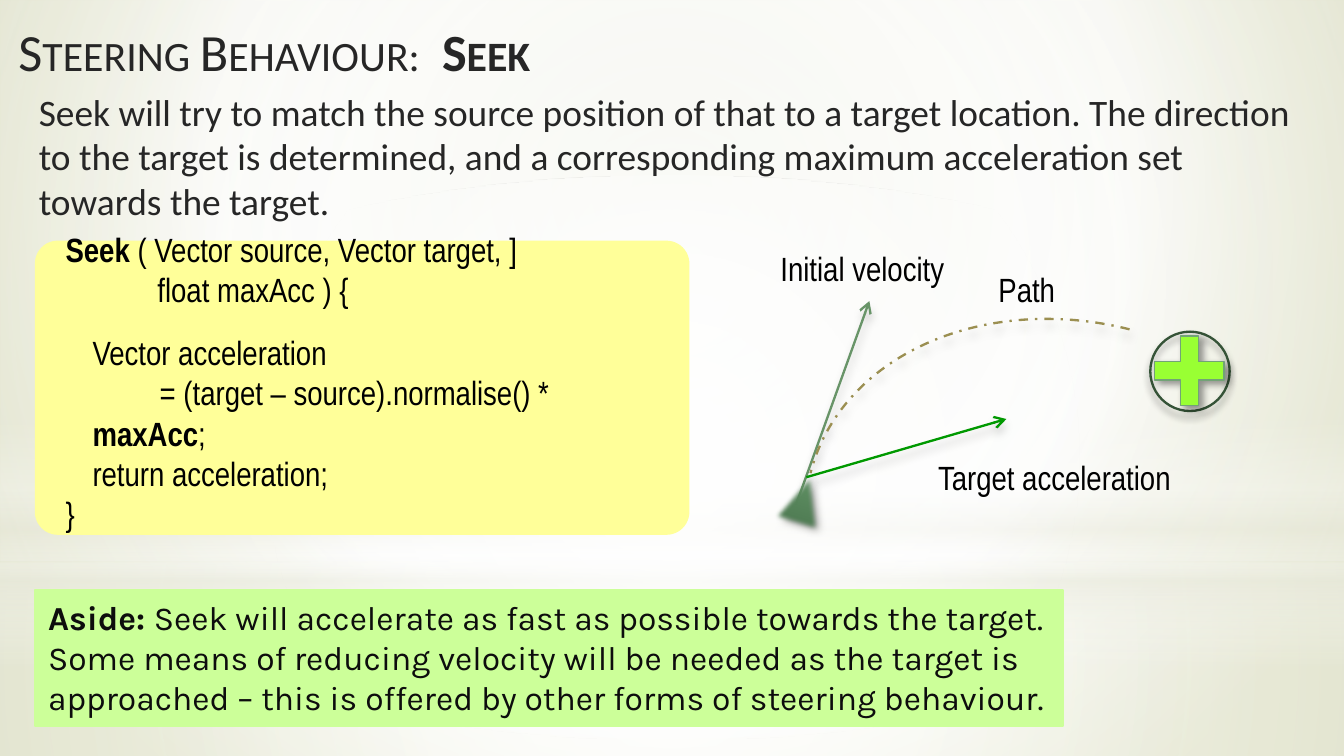
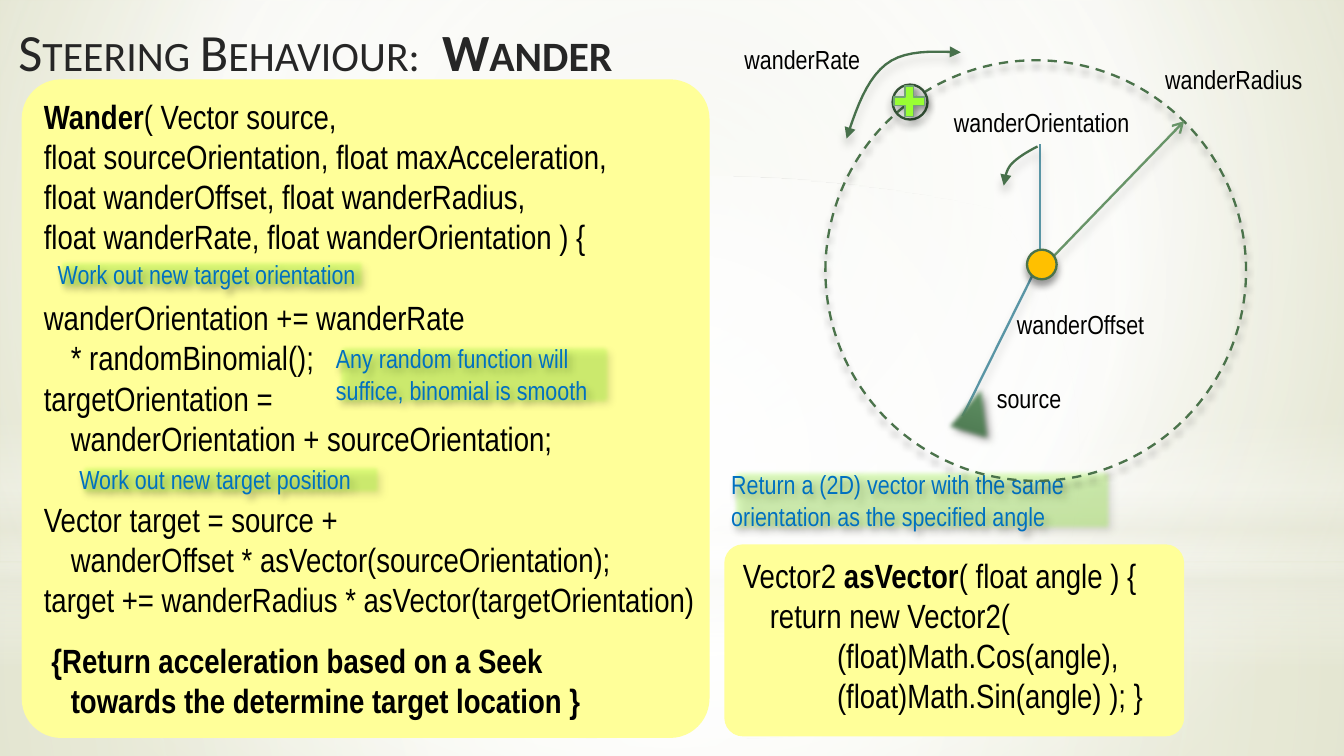
from pptx import Presentation, util as u
from pptx.dml.color import RGBColor
from pptx.enum import dml, shapes, text
from pptx.oxml import parse_xml
from pptx.oxml.ns import nsdecls, qn

S = shapes.MSO_SHAPE
COLOURS = {
    "ink": "262626", "black": "000000", "aside ink": "0D0D0D", "note ink": "0070C0",
    "white": "FFFFFF", "mist": "EAEBDE", "sage": "E3E5D1", "olive": "CCD09F",
    "panel": "FFFF99", "aside": "CCFF99", "lime": "99FF33", "plus edge": "72A376",
    "note edge": "009900", "velocity": "689468", "offset": "5995A5", "path": "9B8F51",
    "ring": "355337", "circle": "4B734B", "turn": "47704B", "hub": "FFC000",
    "agent top": "6A9E6E", "agent base": "49734D",
}
CENTRE = (50, 50, 50, 50)
SOFT_LINE = (20, 5, 4, 90)   # alpha %, blur pt, distance pt, angle
BELOW = (40, 4, 3, 90)
DIAGONAL = (40, 4, 3, 45)

LOOKS = {
    "lower band": {"stops": [(0, "white", 91), (37, "white", 76), (100, "mist", 79)],
                   "focus": CENTRE},
    "upper band": {"stops": [(0, "white", 89), (48, "white", 62), (100, "mist", 79)],
                   "focus": CENTRE},
    "horizon": {"stops": [(0, "white", 0), (29, "white", 30), (45, "mist", 40),
                          (55, "white", 26), (65, "mist", 60), (100, "white", 0)]},
    "glow": {"stops": [(0, "white", 100), (56, "white", 0)], "focus": CENTRE},
    "panel": {"fill": "panel"},
    "aside": {"fill": "aside", "line": "aside"},
    "note": {"fill": "lime", "alpha": 30, "line": "note edge", "width": 0.75,
             "shadow": DIAGONAL, "soft": 2.5},
    "plus": {"fill": "lime", "line": "plus edge", "width": 0.75, "shadow": DIAGONAL},
    "ring": {"line": "ring", "shadow": BELOW},
    "agent": {"stops": [(0, "agent top", 100), (100, "agent base", 100)],
              "shadow": DIAGONAL, "soft": 2.5},
    "velocity": {"line": "velocity", "tail": "arrow", "shadow": SOFT_LINE},
    "acceleration": {"line": "note edge", "tail": "arrow", "shadow": SOFT_LINE},
    "offset": {"line": "offset", "shadow": SOFT_LINE},
    "path": {"line": "path", "dash": dml.MSO_LINE.DASH_DOT, "shadow": SOFT_LINE},
    "wander circle": {"line": "circle", "dash": dml.MSO_LINE.DASH, "shadow": BELOW},
    "hub": {"fill": "hub", "line": "circle", "shadow": BELOW},
    "turn": {"line": "turn", "tail": "triangle", "shadow": SOFT_LINE},
    "swing": {"line": "turn", "head": "triangle", "tail": "triangle", "shadow": SOFT_LINE},
}

GROW = text.MSO_AUTO_SIZE.SHAPE_TO_FIT_TEXT
MIDDLE, TOP = text.MSO_ANCHOR.MIDDLE, text.MSO_ANCHOR.TOP
NO_MARGINS = dict.fromkeys(("margin_left", "margin_top", "margin_right", "margin_bottom"), 0)
TYPE = {
    "heading": {"colour": "ink", "caps": True, "font": {"name": "Calibri", "size": u.Pt(28)},
                "frame": {"vertical_anchor": MIDDLE, "word_wrap": False,
                          "auto_size": text.MSO_AUTO_SIZE.NONE}},
    "intro": {"colour": "ink", "font": {"name": "Calibri", "size": u.Pt(20)},
              "frame": {"vertical_anchor": TOP, "word_wrap": True, "auto_size": GROW}},
    "code": {"colour": "black", "hang": 0.51, "tabs": (0.51, 1.02, 2.49, 6.48),
             "font": {"name": "Arial Narrow", "size": u.Pt(18)},
             "frame": {"vertical_anchor": MIDDLE, "word_wrap": True, "auto_size": GROW}},
    "aside": {"colour": "aside ink", "font": {"name": "Karla", "size": u.Pt(18)},
              "frame": {"vertical_anchor": TOP, "word_wrap": True, "auto_size": GROW}},
    "note": {"colour": "note ink", "font": {"name": "Arial Narrow", "size": u.Pt(14)},
             "frame": {"vertical_anchor": TOP, "word_wrap": True, "auto_size": GROW,
                       **NO_MARGINS}},
}
TYPE["large label"] = {**TYPE["code"], "hang": 0, "tabs": ()}
TYPE["label"] = {**TYPE["large label"], "font": TYPE["note"]["font"]}

# Each part: kind, look or type style, place in cm, and any extras.
# Text marks bold with **; gaps gives points of space before a paragraph.
shared_parts = [
    (S.RECTANGLE, "lower band", (0, 10.64, 25.4, 3.65), {}),
    (S.RECTANGLE, "upper band", (0, 0, 25.4, 10.64), {}),
    (S.RECTANGLE, "horizon", (0, 7.85, 25.4, 4.78), {}),
    (S.OVAL, "glow", (0, 3.33, 25.4, 10.64), {}),
    ("text", "heading", (0.1, 0.15, 10.8, 1.6), {"lines": ["Steering Behaviour:"]}),
]
TITLE_PLACE = (8.1, 0.15, 3.99, 1.6)
seek_parts = [
    ("title", "heading", TITLE_PLACE, {"lines": ["**Seek**"]}),
    (S.ROUNDED_RECTANGLE, "panel", (0.66, 4.55, 12.37, 5.56), {"adjust": 0.078}),
    ("text", "code", (0.99, 4.55, 11.71, 5.31), {"gaps": {2: 12}, "lines": [
        "**Seek** ( Vector source, Vector target, ]",
        "            float maxAcc ) {",
        "\tVector acceleration",
        "\t\t= (target – source).normalise() * **maxAcc**;",
        "\treturn acceleration;",
        "}"]}),
    (S.RECTANGLE, "aside", (0.66, 11.15, 19.43, 2.57), {"lines": [
        "**Aside: **Seek will accelerate as fast as possible towards the target. Some means "
        "of reducing velocity will be needed as the target is approached – this is offered "
        "by other forms of steering behaviour."]}),
    ("line", "velocity", (15.04, 9.55, 16.43, 5.69), {}),
    (S.OVAL, "ring", (21.74, 6.27, 1.5, 1.5), {}),
    (S.MATH_PLUS, "plus", (21.59, 6.12, 1.78, 1.78), {"adjust": 0.195}),
    ("line", "acceleration", (15.24, 9.02, 19.02, 7.92), {}),
    (S.FLOWCHART_EXTRACT, "agent", (14.66, 8.79, 1.04, 1.19), {"turn": 17}),
    ("text", "large label", (14.5, 4.55, 5.16, 1.02), {"lines": ["Initial velocity"]}),
    ("text", "large label", (17.48, 8.51, 5.72, 1.02), {"lines": ["Target acceleration"]}),
    (S.ARC, "path", (15.16, 6.1, 10.36, 8.23), {"turn": 14.2, "flip": True}),
    ("text", "large label", (18.62, 4.95, 2.97, 1.02), {"lines": ["Path"]}),
    ("body", "intro", (0.48, 1.55, 24.23, 3.68), {"lines": [
        "Seek will try to match the source position of that to a target location. The "
        "direction to the target is determined, and a corresponding maximum acceleration "
        "set towards the target."]}),
]
wander_parts = [
    ("title", "heading", TITLE_PLACE, {"lines": ["**Wander**"]}),
    (S.ROUNDED_RECTANGLE, "panel", (0.41, 1.5, 13, 12.45), {"adjust": 0.06}),
    ("text", "code", (0.58, 1.5, 12.9, 12.42), {"gaps": {4: 21.6, 8: 21.6, 11: 10.8}, "lines": [
        "**Wander**( Vector source,",
        "float sourceOrientation, float maxAcceleration,",
        "float wanderOffset, float wanderRadius,",
        "float wanderRate, float wanderOrientation ) {",
        "wanderOrientation += wanderRate",
        "\t* randomBinomial();",
        "targetOrientation =",
        "\twanderOrientation + sourceOrientation;",
        "Vector target = source +",
        "\twanderOffset * asVector(sourceOrientation);",
        "target += wanderRadius * asVector(targetOrientation)",
        "** {Return acceleration based on a Seek**",
        "**\ttowards the determine target location }**"]}),
    (S.RECTANGLE, "note", (6.35, 6.48, 5.21, 1.19),
     {"lines": ["Any random function will suffice, binomial is smooth"]}),
    (S.ROUNDED_RECTANGLE, "panel", (13.69, 10.29, 8.69, 3.63), {"adjust": 0.097}),
    ("text", "code", (13.79, 10.34, 9.12, 3.33), {"lines": [
        "Vector2 **asVector**( float angle ) {",
        "\treturn new Vector2(",
        "\t\t(float)Math.Cos(angle),",
        "\t\t(float)Math.Sin(angle) ); }"]}),
    (S.RECTANGLE, "note", (13.82, 8.86, 7.21, 1.19),
     {"lines": ["Return a (2D) vector with the same orientation as the specified angle"]}),
    (S.RECTANGLE, "note", (1.09, 4.88, 5.82, 0.61),
     {"lines": ["Work out new target orientation"]}),
    (S.RECTANGLE, "note", (1.5, 8.76, 5.72, 0.61),
     {"lines": ["Work out new target position"]}),
    ("line", "offset", (18.19, 7.87, 19.51, 5.21), {}),
    (S.OVAL, "wander circle", (15.6, 1.14, 7.95, 7.95), {}),
    ("text", "label", (17.78, 1.88, 3.96, 0.86), {"lines": ["wanderOrientation"]}),
    (S.OVAL, "ring", (16.87, 1.6, 0.66, 0.66), {}),
    (S.MATH_PLUS, "plus", (16.79, 1.52, 0.79, 0.79), {"adjust": 0.195}),
    ("line", "velocity", (19.76, 5, 22.38, 2.29), {}),
    ("text", "label", (18.97, 5.69, 3.96, 0.86), {"lines": ["wanderOffset"]}),
    ("text", "label", (21.77, 1.07, 3.6, 0.86), {"lines": ["wanderRadius"]}),
    ("line", "offset", (19.66, 4.9, 19.66, 2.72), {}),
    (S.OVAL, "hub", (19.41, 4.72, 0.56, 0.56), {}),
    ("curve", "turn", ((19.61, 2.77), (19.41, 2.87), (19.2, 3), (19.1, 3.12),
                       (19, 3.25), (19, 3.38), (18.97, 3.51)), {}),
    ("text", "label", (13.82, 0.69, 3.96, 0.86), {"lines": ["wanderRate"]}),
    ("curve", "swing", ((16, 2.62), (16.18, 2.06), (16.38, 1.5), (16.74, 1.22),
                        (17.09, 0.94), (17.63, 0.97), (18.16, 0.99)), {}),
    (S.FLOWCHART_EXTRACT, "agent", (17.91, 7.09, 1.04, 1.19), {"turn": 16.5}),
    ("text", "label", (18.59, 7.09, 1.78, 0.86), {"lines": ["source"]}),
]


def add_xml(parent, tag, attributes="", inner=""):
    element = parse_xml(f'<a:{tag} {nsdecls("a")} {attributes}>{inner}</a:{tag}>')
    parent.append(element)
    return element


def add_gradient(parent, stops, focus=None):
    """Radial towards the focus rectangle if there is one, otherwise top to bottom."""
    marks = "".join(
        f'<a:gs pos="{at * 1000}"><a:srgbClr val="{COLOURS[colour]}">'
        f'<a:alpha val="{alpha * 1000}"/></a:srgbClr></a:gs>' for at, colour, alpha in stops)
    course = '<a:lin ang="5400000" scaled="0"/>'
    if focus:
        sides = " ".join(f'{side}="{value * 1000}"' for side, value in zip("ltrb", focus))
        course = f'<a:path path="circle"><a:fillToRect {sides}/></a:path>'
    return add_xml(parent, "gradFill", 'rotWithShape="1"', f"<a:gsLst>{marks}</a:gsLst>{course}")


deck = Presentation()
deck.slide_width, deck.slide_height = u.Cm(25.4), u.Cm(14.29)
master = deck.slide_master
master.background.fill.solid()
backdrop = master._element.find(f".//{qn('p:bgPr')}")
backdrop.remove(backdrop[0])
backdrop.insert(0, add_gradient(
    backdrop, [(0, "sage", 100), (60, "white", 100), (100, "olive", 100)], (20, 10, 20, 60)))
seek = deck.slides.add_slide(deck.slide_layouts[1])
wander = deck.slides.add_slide(deck.slide_layouts[5])

for slide, parts in ((seek, shared_parts), (seek, seek_parts), (wander, wander_parts)):
    for kind, style, place, extras in parts:
        if kind == "curve":
            points = [place[0]]
            for first in range(0, len(place) - 1, 3):
                a, b, c, d = place[first:first + 4]
                for t in (step / 10 for step in range(1, 11)):
                    points.append(tuple(
                        (1 - t) ** 3 * a[i] + 3 * (1 - t) ** 2 * t * b[i]
                        + 3 * (1 - t) * t ** 2 * c[i] + t ** 3 * d[i] for i in (0, 1)))
            points = [(u.Cm(x), u.Cm(y)) for x, y in points]
            outline = slide.shapes.build_freeform(*points[0])
            outline.add_line_segments(points[1:], close=False)
            part = outline.convert_to_shape()
        else:
            lengths = [u.Cm(value) for value in place]
            if kind == "line":
                part = slide.shapes.add_connector(shapes.MSO_CONNECTOR.STRAIGHT, *lengths)
            elif kind == "text":
                part = slide.shapes.add_textbox(*lengths)
            elif kind in ("title", "body"):
                part = slide.shapes.title if kind == "title" else slide.placeholders[1]
                part.left, part.top, part.width, part.height = lengths
            else:
                part = slide.shapes.add_shape(kind, *lengths)

        if kind not in ("text", "title", "body"):
            look = LOOKS[style]
            properties = part._element.spPr
            if "stops" in look:
                add_gradient(properties, look["stops"], look.get("focus"))
            elif "fill" in look:
                part.fill.solid()
                part.fill.fore_color.rgb = RGBColor.from_string(COLOURS[look["fill"]])
                if "alpha" in look:
                    add_xml(properties.find(f".//{qn('a:srgbClr')}"), "alpha",
                            f'val="{look["alpha"] * 1000}"')
            elif kind != "line":
                part.fill.background()
            if "line" in look:
                part.line.color.rgb = RGBColor.from_string(COLOURS[look["line"]])
                part.line.width = u.Pt(look.get("width", 1.25))
                if "dash" in look:
                    part.line.dash_style = look["dash"]
                for end in ("head", "tail"):
                    if end in look:
                        add_xml(properties.find(qn("a:ln")), f"{end}End", f'type="{look[end]}"')
            else:
                part.line.fill.background()
            effects = ""
            if "shadow" in look:
                alpha, blur, distance, angle = look["shadow"]
                effects = (f'<a:outerShdw blurRad="{u.Pt(blur)}" dist="{u.Pt(distance)}" '
                           f'dir="{angle * 60000}" rotWithShape="0"><a:srgbClr val='
                           f'"{COLOURS["black"]}"><a:alpha val="{alpha * 1000}"/>'
                           '</a:srgbClr></a:outerShdw>')
            if "soft" in look:
                effects += f'<a:softEdge rad="{u.Pt(look["soft"])}"/>'
            add_xml(properties, "effectLst", inner=effects)
            if "adjust" in extras:
                part.adjustments[0] = extras["adjust"]
            if "turn" in extras:
                part.rotation = extras["turn"]
            if "flip" in extras:
                properties.find(qn("a:xfrm")).set("flipH", "1")

        if "lines" in extras:
            type_style = TYPE[style]
            frame = part.text_frame
            for name, value in type_style["frame"].items():
                setattr(frame, name, value)
            for number, line in enumerate(extras["lines"]):
                paragraph = frame.add_paragraph() if number else frame.paragraphs[0]
                layout = paragraph._p.get_or_add_pPr()
                hang = u.Cm(type_style.get("hang", 0))
                layout.set("marL", str(int(hang)))
                layout.set("indent", str(-int(hang)))
                add_xml(layout, "buNone")
                if type_style.get("tabs"):
                    add_xml(layout, "tabLst", inner="".join(
                        f'<a:tab pos="{u.Cm(stop)}" algn="l"/>' for stop in type_style["tabs"]))
                paragraph.alignment = text.PP_ALIGN.LEFT
                paragraph.space_before = u.Pt(extras.get("gaps", {}).get(number, 0))
                for index, words in enumerate(line.split("**")):
                    if words:
                        run = paragraph.add_run()
                        run.text = words
                        for name, value in type_style["font"].items():
                            setattr(run.font, name, value)
                        run.font.bold = index % 2 == 1
                        run.font.color.rgb = RGBColor.from_string(COLOURS[type_style["colour"]])
                        if "caps" in type_style:
                            run._r.get_or_add_rPr().set("cap", "small")

        if parts is shared_parts:
            identity = part._element.find(f".//{qn('p:cNvPr')}")
            identity.set("id", str(100 + len(master.shapes)))
            master.shapes._spTree.append(part._element)

deck.save("out.pptx")
